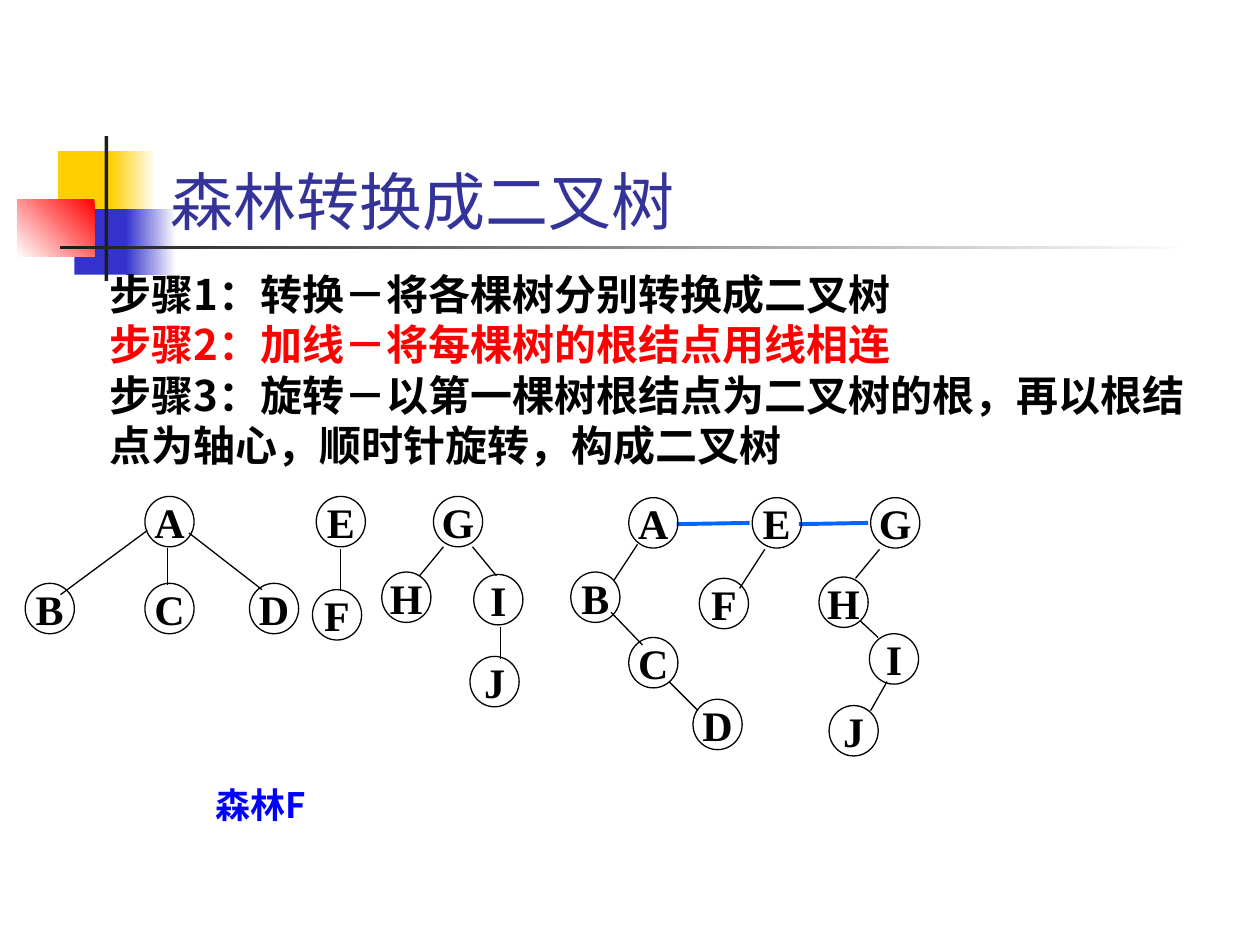
"""Build the slide on converting a forest into a binary tree."""
from dataclasses import dataclass
from lxml import etree
from pptx import Presentation
from pptx import util as u
from pptx.dml.color import RGBColor
from pptx.enum import shapes, text
from pptx.oxml.ns import qn


@dataclass(frozen=True)
class Theme:
    title_font: str = "Karla"
    body_font: str = "Noto Sans CJK SC"
    node_font: str = "Times New Roman"
    title_size: int = 36
    body_size: int = 24
    label_size: int = 20
    leading: float = 1.2
    yellow: str = "FFCF01"
    blue: str = "3333CC"
    red: str = "FF0000"
    dark: str = "1C1C1C"
    white: str = "FFFFFF"
    black: str = "000000"
    title: str = "333399"
    label: str = "0000FF"
    link: str = "0066FF"


THEME = Theme()
TITLE = "森林转换成二叉树"
STEPS = [
    ("步骤1：转换－将各棵树分别转换成二叉树", THEME.black),
    ("步骤2：加线－将每棵树的根结点用线相连", THEME.red),
    ("步骤3：旋转－以第一棵树根结点为二叉树的根，再以根结点为轴心，顺时针旋转，构成二叉树", THEME.black),
]
LABEL = "森林F"
DECORATION = [
    ((0.46, 1.2, 0.48, 0.52), [THEME.yellow], 0),
    ((0.88, 1.2, 0.36, 0.52), [THEME.white, THEME.yellow], 180),
    ((0.59, 1.66, 0.46, 0.52), [THEME.blue], 0),
    ((1, 1.66, 0.4, 0.52), [THEME.white, THEME.blue], 180),
    ((0.14, 1.58, 0.61, 0.46), [THEME.red, THEME.white], 225),
    ((0.83, 1.08, 0.03, 1.15), [THEME.dark], 0),
    ((0.48, 1.95, 9, 0.03), [THEME.white, THEME.dark], 180),
]
NODE_SIZE = (0.39, 0.4)
FOREST = [
    ({"A": (1.15, 3.94), "B": (0.2, 4.63), "C": (1.15, 4.63), "D": (1.98, 4.63)},
     [(1.33, 4.35, 1.33, 4.64), (1.17, 4.21, 0.48, 4.72), (1.5, 4.23, 2.08, 4.68)]),
    ({"E": (2.51, 3.94), "F": (2.48, 4.68)}, [(2.7, 4.36, 2.7, 4.69)]),
    ({"G": (3.44, 3.94), "H": (3.03, 4.54), "I": (3.76, 4.56), "J": (3.73, 5.21)},
     [(3.52, 4.34, 3.33, 4.57), (3.75, 4.34, 3.94, 4.57), (3.97, 4.98, 3.97, 5.23)]),
]
BINARY_TREES = [
    ({"A": (4.99, 3.95), "B": (4.53, 4.54), "C": (4.99, 5.06), "D": (5.5, 5.55)},
     [(5.06, 4.32, 4.87, 4.61), (4.85, 4.86, 5.1, 5.12), (5.31, 5.41, 5.54, 5.64)]),
    ({"E": (5.97, 3.95), "F": (5.55, 4.59)}, [(6.07, 4.36, 5.87, 4.67)]),
    ({"G": (6.91, 3.95), "H": (6.5, 4.58), "I": (6.9, 5.03), "J": (6.58, 5.6)},
     [(6.98, 4.36, 6.79, 4.59), (6.83, 4.93, 6.97, 5.06), (7.04, 5.41, 6.91, 5.64)]),
]
ROOT_LINKS = [(5.37, 4.16, 5.95, 4.15), (6.34, 4.16, 6.89, 4.15)]


def inches(values):
    return [u.Inches(value) for value in values]


def place(box, area):
    box.left, box.top, box.width, box.height = inches(area)


def style(para, font, size, color, bold):
    for span in para.runs:
        span.font.name = font
        span.font.size = u.Pt(size)
        span.font.bold = bold
        span.font.color.rgb = RGBColor.from_string(color)
        etree.SubElement(span.font._element, qn("a:ea"), typeface=font)


def add_decoration(page, area, colors, angle):
    block = page.shapes.add_shape(shapes.MSO_SHAPE.RECTANGLE, *inches(area))
    block.shadow.inherit = False
    block.line.fill.background()
    if len(colors) == 1:
        block.fill.solid()
        block.fill.fore_color.rgb = RGBColor.from_string(colors[0])
        return
    block.fill.gradient()
    block.fill.gradient_angle = angle
    for stop, color in zip(block.fill.gradient_stops, colors):
        stop.color.rgb = RGBColor.from_string(color)


def add_line(parent, ends, color, width):
    line = parent.shapes.add_connector(shapes.MSO_CONNECTOR.STRAIGHT, *inches(ends))
    line.line.color.rgb = RGBColor.from_string(color)
    line.line.width = u.Pt(width)
    etree.SubElement(line._element.spPr, qn("a:effectLst"))


def add_node(parent, name, corner):
    node = parent.shapes.add_shape(shapes.MSO_SHAPE.OVAL, *inches(corner + NODE_SIZE))
    node.shadow.inherit = False
    node.fill.background()
    node.line.color.rgb = RGBColor.from_string(THEME.black)
    node.line.width = u.Pt(0.75)
    frame = node.text_frame
    frame.text = name
    frame.word_wrap = False
    frame.vertical_anchor = text.MSO_ANCHOR.MIDDLE
    frame.paragraphs[0].alignment = text.PP_ALIGN.CENTER
    style(frame.paragraphs[0], THEME.node_font, THEME.body_size, THEME.black, True)


def add_tree(page, nodes, edges):
    tree = page.shapes.add_group_shape()
    for name, corner in nodes.items():
        add_node(tree, name, corner)
    for ends in edges:
        add_line(tree, ends, THEME.black, 0.75)


def fill_title(title):
    place(title, (1.25, 0.52, 8.25, 1.42))
    title.text_frame.text = TITLE
    title.text_frame.vertical_anchor = text.MSO_ANCHOR.BOTTOM
    para = title.text_frame.paragraphs[0]
    para.alignment = text.PP_ALIGN.LEFT
    style(para, THEME.title_font, THEME.title_size, THEME.title, False)


def fill_steps(body):
    place(body, (0.27, 2.08, 9.45, 1.7))
    frame = body.text_frame
    frame.text = "\n".join(step for step, _ in STEPS)
    for para, (_, color) in zip(frame.paragraphs, STEPS):
        para.level = 1
        para.space_before = u.Pt(0)
        para.line_spacing = u.Pt(THEME.body_size * THEME.leading)
        properties = para._p.get_or_add_pPr()
        properties.set("marL", str(u.Inches(0.5)))
        properties.set("indent", "0")
        etree.SubElement(properties, qn("a:buNone"))
        style(para, THEME.body_font, THEME.body_size, color, True)


def add_label(page):
    box = page.shapes.add_textbox(*inches((1.61, 6.17, 1.5, 0.44)))
    box.text_frame.word_wrap = True
    box.text_frame.text = LABEL
    para = box.text_frame.paragraphs[0]
    para.line_spacing = u.Pt(THEME.label_size * THEME.leading)
    style(para, THEME.body_font, THEME.label_size, THEME.label, True)


def main():
    deck = Presentation()
    deck.slide_width, deck.slide_height = inches((10, 7.5))
    page = deck.slides.add_slide(deck.slide_layouts[1])
    title, body = page.placeholders
    for area, colors, angle in DECORATION:
        add_decoration(page, area, colors, angle)
    fill_title(title)
    fill_steps(body)
    for box in (title, body):
        page.shapes.element.append(box.element)
    for nodes, edges in FOREST:
        add_tree(page, nodes, edges)
    for ends in ROOT_LINKS:
        add_line(page, ends, THEME.link, 2.25)
    for nodes, edges in BINARY_TREES:
        add_tree(page, nodes, edges)
    add_label(page)
    deck.save("out.pptx")


if __name__ == "__main__":
    main()
